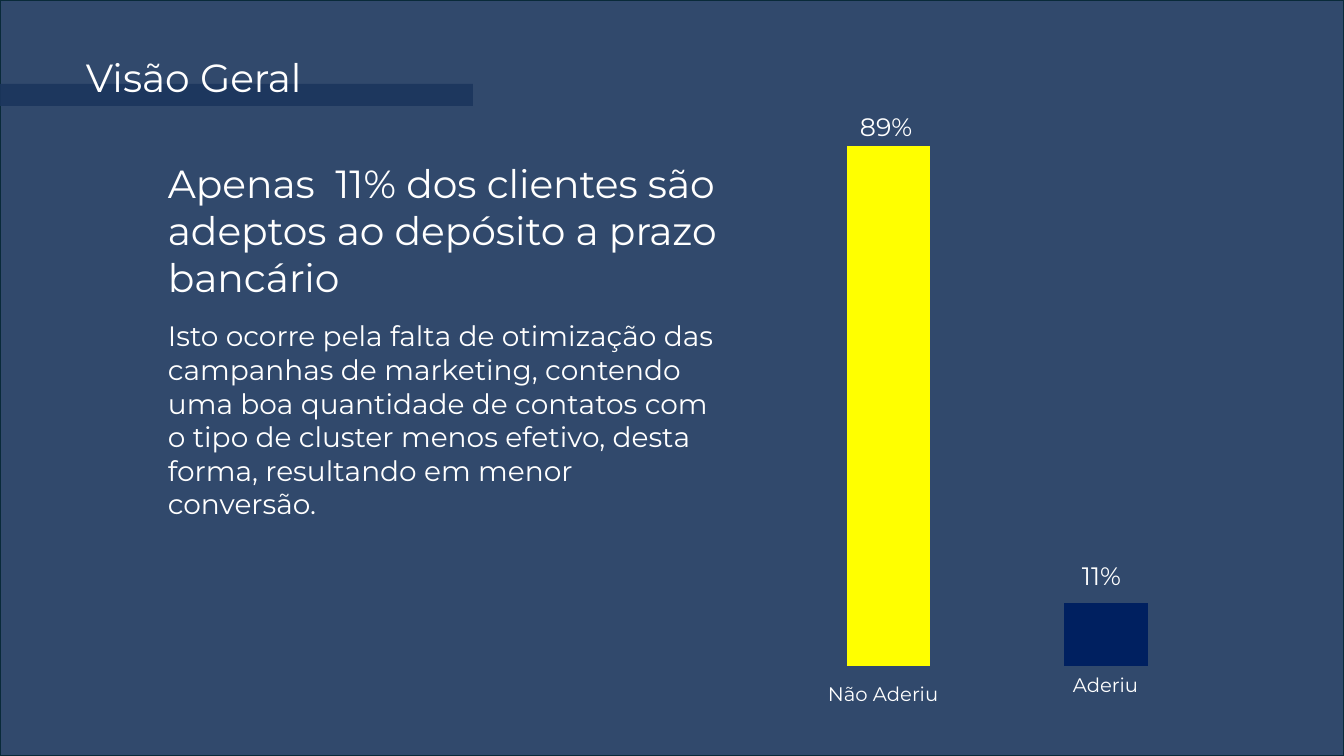
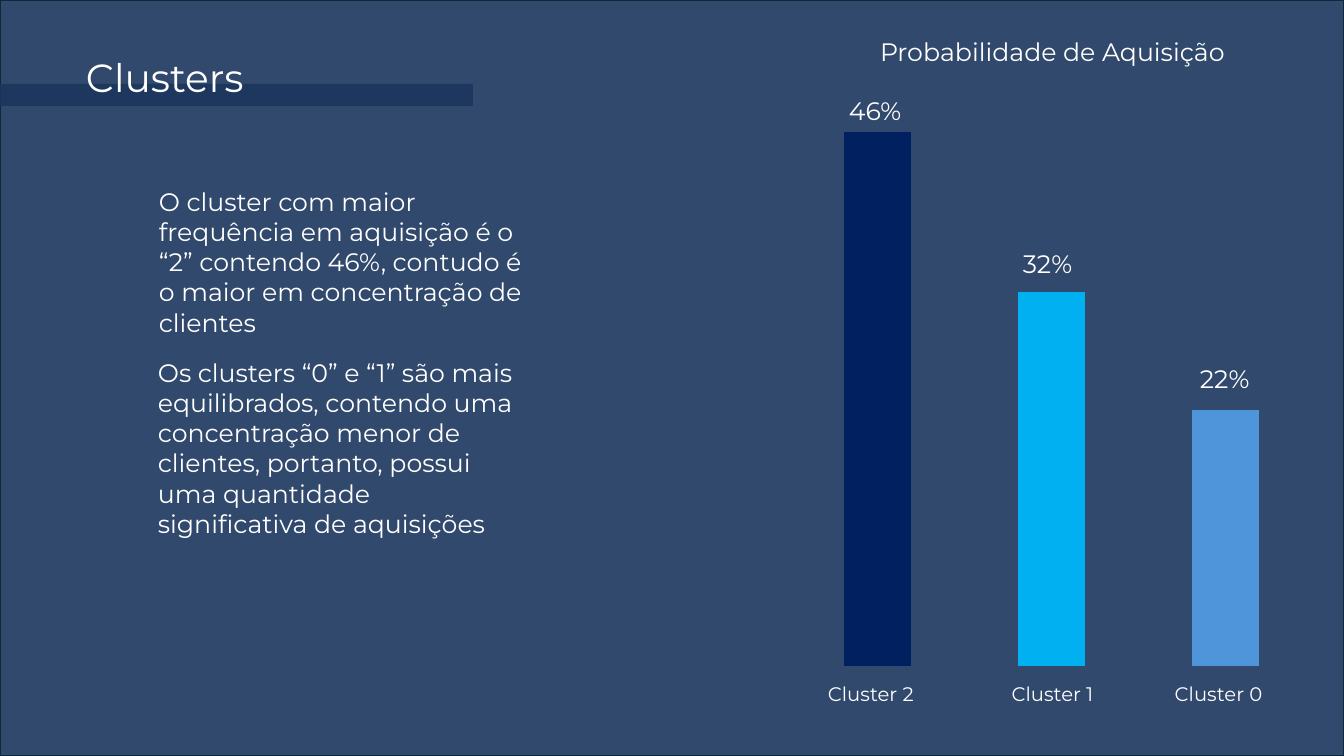
"""Build two slides on term deposits: an overview and the customer clusters."""
from lxml import etree
from pptx import Presentation
from pptx import util as u
from pptx.chart.data import CategoryChartData
from pptx.dml.color import RGBColor
from pptx.enum import chart as charts, shapes, text
from pptx.oxml.ns import qn

PX = 914400 / 100.8
WIDE, HIGH = 1344, 756
FONT = "Montserrat"
HEX = {"navy": "1B365D", "edge": "092A39", "white": "FFFFFF", "yellow": "FFFF00",
       "deep": "002060", "sky": "00B0F0", "soft": "4E95D9", "base": "156082"}
LEFT, MID = text.PP_ALIGN.LEFT, text.PP_ALIGN.CENTER

BAND = (0, 84, 473, 22)
TITLE = (76, 48, 265, 57)
PLOT = (834, 84, 435, 583)

SLIDES = [
    {"title": "Visão Geral",
     "bars": [(100, "yellow"), None, (12, "deep"), None],
     "top": 112,
     "texts": [
         ("Apenas  11% dos clientes são adeptos ao depósito a prazo bancário",
          (158, 154, 670, 152), 28, LEFT),
         ("Isto ocorre pela falta de otimização das campanhas de marketing, "
          "contendo uma boa quantidade de contatos com o tipo de cluster menos "
          "efetivo, desta forma, resultando em menor conversão.",
          (158, 314, 580, 214), 20, LEFT),
         ("89%", (850, 106, 76, 40), 18, LEFT),
         ("11%", (1072, 555, 69, 40), 18, LEFT),
         ("Não Aderiu", (818, 677, 139, 34), 14, LEFT),
         ("Aderiu", (1036, 668, 139, 34), 14, MID)]},
    {"title": "Clusters",
     "bars": [(100, "deep"), None, (70, "sky"), None, (48, "soft")],
     "top": 109,
     "texts": [
         ("Probabilidade de Aquisição", (822, 31, 461, 40), 18, MID),
         ("O cluster com maior frequência em aquisição é o “2” contendo 46%, "
          "contudo é o maior em concentração de clientes",
          (149, 181, 385, 163), 18, LEFT),
         ("Os clusters “0” e “1” são mais equilibrados, contendo uma "
          "concentração menor de clientes, portanto, possui uma quantidade "
          "significativa de aquisições", (148, 352, 385, 194), 18, LEFT),
         ("46%", (839, 90, 76, 40), 18, LEFT),
         ("32%", (1013, 243, 79, 40), 18, LEFT),
         ("22%", (1190, 358, 79, 40), 18, LEFT),
         ("Cluster 2", (818, 677, 117, 34), 14, LEFT),
         ("Cluster 1", (983, 677, 139, 34), 14, MID),
         ("Cluster 0", (1149, 677, 139, 34), 14, MID)]},
]


def emu(box):
    return [round(n * PX) for n in box]


def rgb(name):
    return RGBColor.from_string(HEX[name])


def paint(fill, name):
    fill.solid()
    fill.fore_color.rgb = rgb(name)


def panel(slide, box, edge=None):
    shape = slide.shapes.add_shape(shapes.MSO_SHAPE.RECTANGLE, *emu(box))
    shape.shadow.inherit = False
    paint(shape.fill, "navy")
    tint = shape.fill._xPr.find(qn("a:solidFill"))[0]
    etree.SubElement(tint, qn("a:alpha")).set("val", "90000")
    if edge:
        shape.line.color.rgb = rgb(edge)
        shape.line.width = u.Pt(1.5)
    else:
        shape.line.fill.background()


def write(slide, words, box, size, align=LEFT):
    frame = slide.shapes.add_textbox(*emu(box)).text_frame
    frame.word_wrap = True
    frame.auto_size = text.MSO_AUTO_SIZE.SHAPE_TO_FIT_TEXT
    line = frame.paragraphs[0]
    line.text, line.alignment = words, align
    line.font.name, line.font.size = FONT, u.Pt(size)
    line.font.color.rgb = rgb("white")


def fit(chart):
    area = chart._chartSpace.chart.plotArea
    for old in area.findall(qn("c:layout")):
        area.remove(old)
    layout = etree.Element(qn("c:layout"))
    manual = etree.SubElement(layout, qn("c:manualLayout"))
    for tag, val in [("layoutTarget", "inner"), ("xMode", "edge"), ("yMode", "edge"),
                     ("x", "0"), ("y", "0"), ("w", "1"), ("h", "0.998")]:
        etree.SubElement(manual, qn("c:" + tag)).set("val", val)
    area.insert(0, layout)


def graph(slide, bars, top):
    data = CategoryChartData()
    data.categories = [str(n + 1) for n in range(len(bars))]
    data.add_series("Series 1", [bar and bar[0] for bar in bars])
    kind = charts.XL_CHART_TYPE.COLUMN_CLUSTERED
    chart = slide.shapes.add_chart(kind, *emu(PLOT), data).chart
    chart.has_legend = chart.has_title = False
    chart.font.name, chart.font.size = "Cabin", u.Pt(10)
    axis = chart.value_axis
    axis.minimum_scale, axis.maximum_scale = 0, top
    axis.has_major_gridlines = False
    axis.visible = chart.category_axis.visible = False
    plot = chart.plots[0]
    plot.gap_width, plot.overlap, plot.vary_by_categories = 30, -27, False
    series = plot.series[0]
    paint(series.format.fill, "base")
    for n, bar in enumerate(bars):
        if bar:
            paint(series.points[n].format.fill, bar[1])
    fit(chart)


def main():
    deck = Presentation()
    deck.slide_width, deck.slide_height = emu((WIDE, HIGH))
    for page in SLIDES:
        slide = deck.slides.add_slide(deck.slide_layouts[6])
        panel(slide, (0, 0, WIDE, HIGH), "edge")
        panel(slide, BAND)
        write(slide, page["title"], TITLE, 28)
        graph(slide, page["bars"], page["top"])
        for item in page["texts"]:
            write(slide, *item)
    deck.save("out.pptx")


if __name__ == "__main__":
    main()
